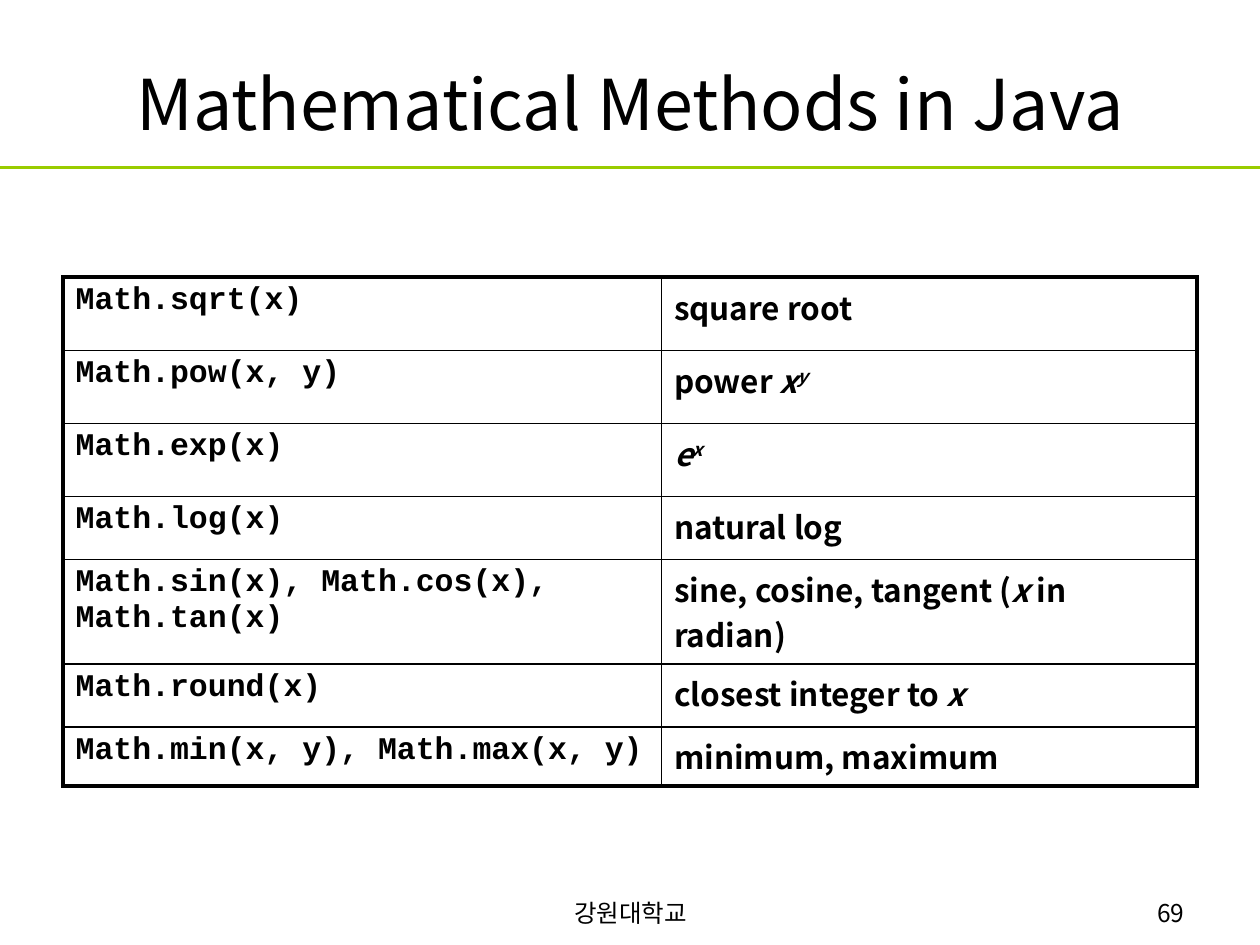
from lxml.etree import SubElement as Sub
from pptx import Presentation
from pptx.dml.color import RGBColor
from pptx.enum.shapes import MSO_CONNECTOR as Link
from pptx.enum.text import MSO_ANCHOR as Anchor, PP_ALIGN as Align
from pptx.oxml.ns import qn
from pptx.util import Inches, Pt

SANS = "Noto Sans CJK KR"
MONO = "Courier New"
BLACK = "000000"


def tint(code):
    return RGBColor.from_string(code)


def write(frame, parts, face, size, side=Align.LEFT, bold=False):
    frame.word_wrap = True
    para = frame.paragraphs[0]
    para.alignment = side
    font = para.font
    font.name, font.size, font.bold = face, Pt(size), bold
    font.color.rgb = tint(BLACK)
    Sub(para._p.pPr.find(qn("a:defRPr")), qn("a:ea"), typeface=face)
    for text, mark in parts:
        run = para.add_run()
        run.text = text
        if mark:
            run.font.italic = True
        if mark == "super":
            run._r.get_or_add_rPr().set("baseline", "30000")


deck = Presentation()
deck.slide_width, deck.slide_height = Inches(10), Inches(7.5)
slide = deck.slides.add_slide(deck.slide_layouts[6])
shapes = slide.shapes

labels = [
    ("Mathematical Methods in Java", 0.5, 0.3, 9, 1.03, 40, Align.CENTER, Anchor.MIDDLE),
    ("강원대학교", 3.42, 7.08, 3.17, 0.27, 14, Align.CENTER, Anchor.TOP),
    ("69", 7.17, 7.08, 2.33, 0.27, 14, Align.RIGHT, Anchor.TOP),
]
for text, left, top, width, height, size, side, anchor in labels:
    box = shapes.add_textbox(Inches(left), Inches(top), Inches(width), Inches(height))
    box.text_frame.vertical_anchor = anchor
    write(box.text_frame, [(text, "")], SANS, size, side)

rule = shapes.add_connector(Link.STRAIGHT, 0, Inches(1.33), deck.slide_width, Inches(1.33))
rule.line.color.rgb = tint("99CC00")
rule.line.width = Pt(1.5)
Sub(rule._element.spPr, qn("a:effectLst"))

rows = [
    (0.58, "Math.sqrt(x)", [("square root", "")]),
    (0.58, "Math.pow(x, y)", [("power ", ""), ("x", "slant"), ("y", "super")]),
    (0.58, "Math.exp(x)", [("e", "slant"), ("x", "super")]),
    (0.5, "Math.log(x)", [("natural log", "")]),
    (0.83, "Math.sin(x), Math.cos(x), Math.tan(x)",
     [("sine, cosine, tangent (", ""), ("x", "slant"), (" in radian)", "")]),
    (0.5, "Math.round(x)", [("closest integer to ", ""), ("x", "slant")]),
    (0.47, "Math.min(x, y), Math.max(x, y)", [("minimum, maximum", "")]),
]
cols = [4.75, 4.25]
total = sum(row[0] for row in rows)
grid = shapes.add_table(len(rows), len(cols), Inches(0.5), Inches(2.2),
                        Inches(sum(cols)), Inches(total)).table
grid.first_row = grid.horz_banding = False
for col, width in zip(grid.columns, cols):
    col.width = Inches(width)

last = len(rows) - 1
for r, (height, call, sense) in enumerate(rows):
    grid.rows[r].height = Inches(height)
    for c, (parts, face) in enumerate([([(call, "")], MONO), (sense, SANS)]):
        cell = grid.cell(r, c)
        write(cell.text_frame, parts, face, 18, bold=True)
        props = cell._tc.get_or_add_tcPr()
        edges = {"L": c == 0, "R": c == 1, "T": r == 0, "B": r == last}
        for edge, outer in edges.items():
            line = Sub(props, qn(f"a:ln{edge}"), w=str(Pt(2.25 if outer else 1)))
            Sub(Sub(line, qn("a:solidFill")), qn("a:srgbClr"), val=BLACK)
        cell.fill.background()

deck.save("out.pptx")
